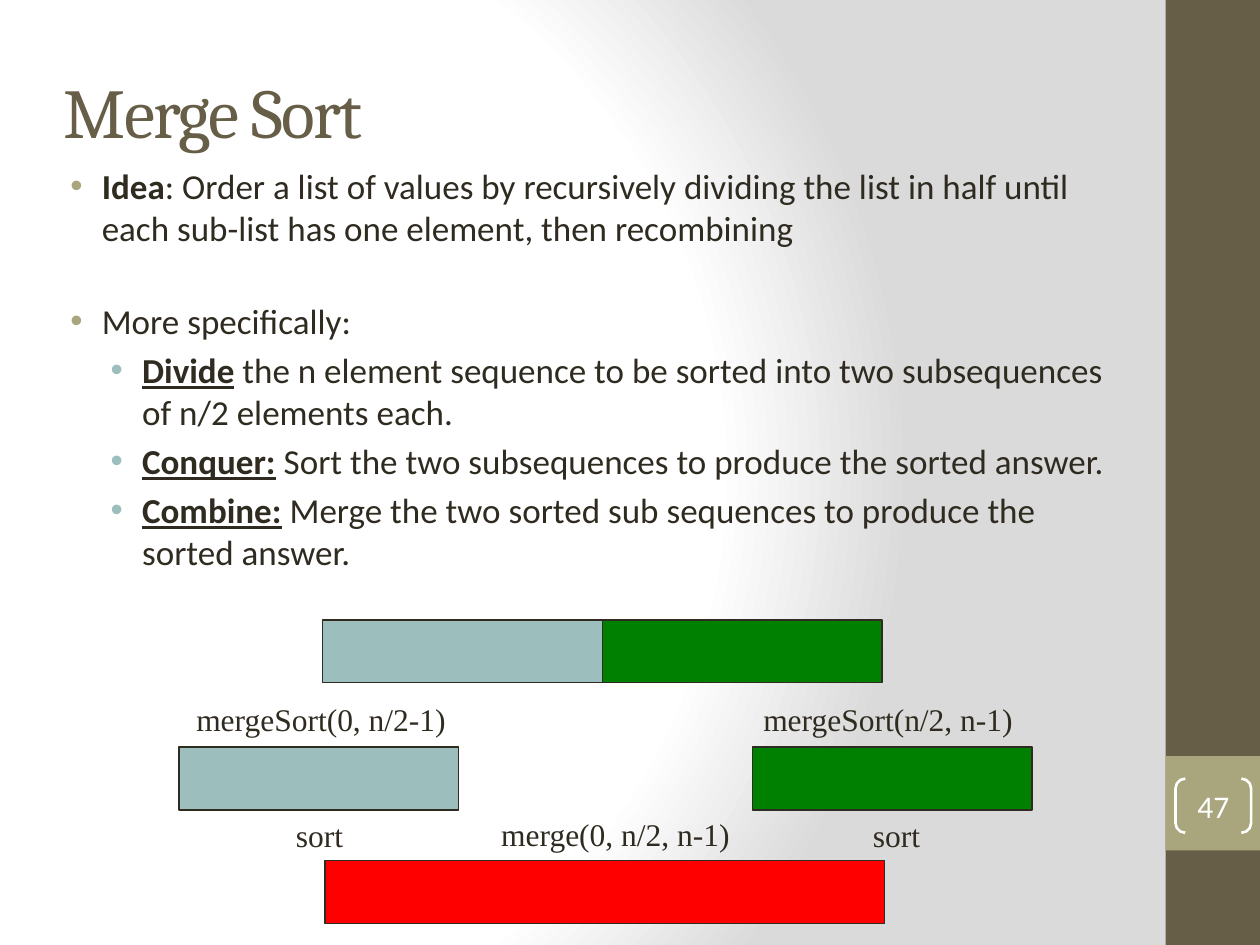
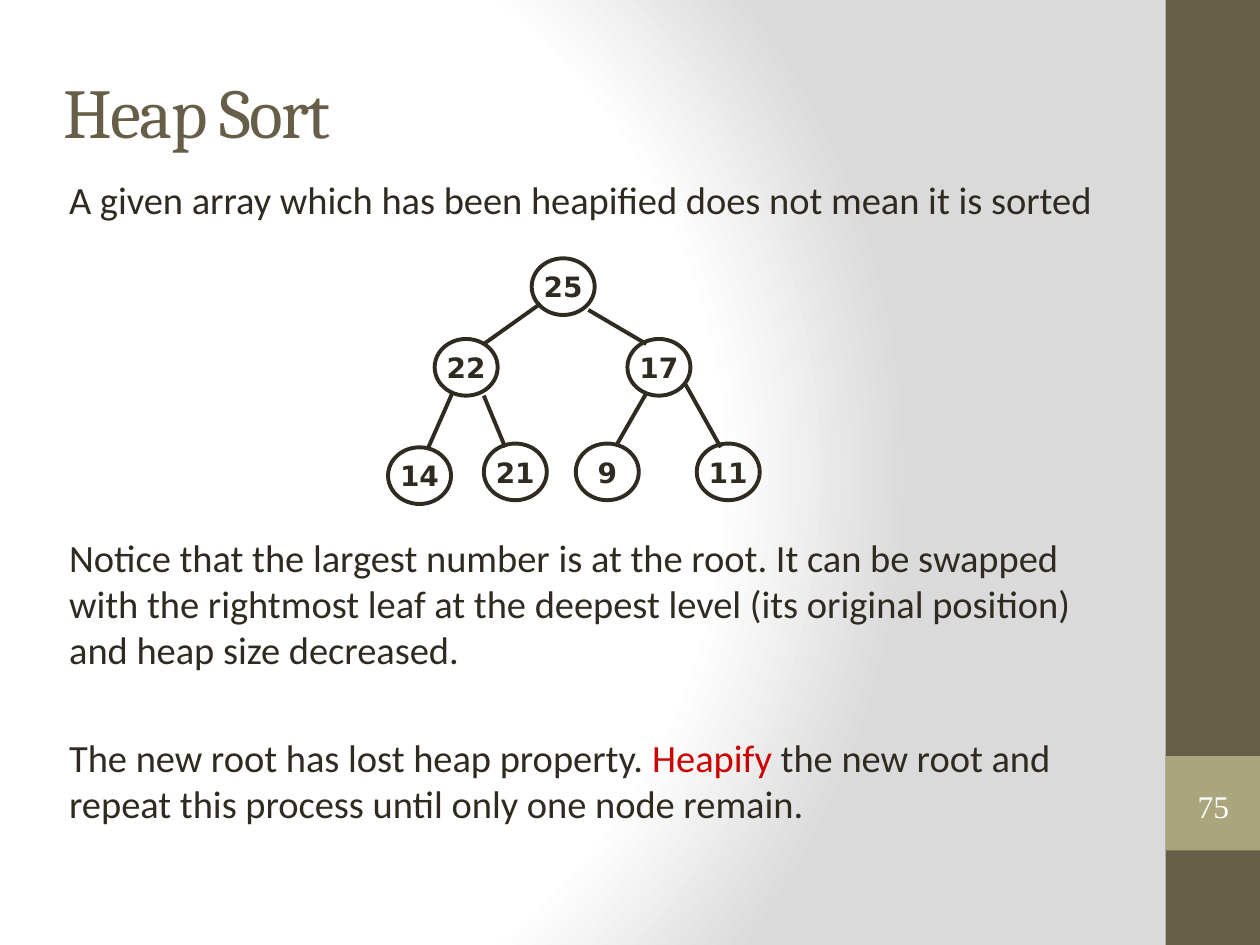
from lxml import etree
from pptx import Presentation
from pptx.dml.color import RGBColor
from pptx.enum.shapes import MSO_CONNECTOR, MSO_SHAPE
from pptx.enum.text import MSO_ANCHOR, MSO_AUTO_SIZE, PP_ALIGN
from pptx.oxml.ns import qn
from pptx.util import Inches, Pt

BROWN = RGBColor(0x67, 0x5E, 0x47)
OLIVE = RGBColor(0xA9, 0xA5, 0x7C)
TEAL = RGBColor(0x9C, 0xBE, 0xBD)
INK = RGBColor(0x2F, 0x2B, 0x20)
GREEN = RGBColor(0x00, 0x80, 0x00)
RED = RGBColor(0xFF, 0x00, 0x00)
DARK_RED = RGBColor(0xCC, 0x00, 0x00)
WHITE = RGBColor(0xFF, 0xFF, 0xFF)
GREY = RGBColor(0xDA, 0xDA, 0xDA)

HEADING, BODY, SERIF, NODE_FONT = "Cambria", "Calibri", "Times New Roman", "DejaVu Sans"
HALF_WIDTH, BAR_HEIGHT = 2.22, 0.5
NODE_WIDTH, NODE_HEIGHT = 0.5, 0.45

NODES = [
    ("25", 4.22, 2.05), ("22", 3.45, 2.69), ("17", 4.98, 2.69),
    ("14", 3.08, 3.55), ("21", 3.84, 3.52), ("9", 4.57, 3.52), ("11", 5.53, 3.52),
]
EDGES = [
    (4.29, 2.41, 3.84, 2.73), (4.67, 2.46, 5.13, 2.73),
    (3.59, 3.12, 3.4, 3.55), (3.84, 3.14, 4.01, 3.55),
    (5.13, 3.12, 4.9, 3.52), (5.44, 3.05, 5.72, 3.55),
]


def box(left, top, width, height):
    return [Inches(length) for length in (left, top, width, height)]


def style(font, name, size, color=INK, bold=False):
    font.name = name
    font.size = Pt(size)
    font.color.rgb = color
    font.bold = bold


def set_background(master):
    fill = master.background.fill
    fill.gradient()
    gradient = master.element.find(".//" + qn("p:bgPr")).find(qn("a:gradFill"))
    for child in list(gradient):
        gradient.remove(child)
    stops = etree.SubElement(gradient, qn("a:gsLst"))
    for position, color in ((0, WHITE), (75, WHITE), (100, GREY)):
        stop = etree.SubElement(stops, qn("a:gs"), pos=str(position * 1000))
        etree.SubElement(stop, qn("a:srgbClr"), val=str(color))
    circle = etree.SubElement(gradient, qn("a:path"), path="circle")
    etree.SubElement(circle, qn("a:fillToRect"), l="20000", t="50000", r="100000", b="50000")


def add_shape(shapes, kind, area, fill=None, line=None, line_width=0.75):
    shape = shapes.add_shape(kind, *box(*area))
    shape.shadow.inherit = False
    if fill is None:
        shape.fill.background()
    else:
        shape.fill.solid()
        shape.fill.fore_color.rgb = fill
    if line is None:
        shape.line.fill.background()
    else:
        shape.line.color.rgb = line
        shape.line.width = Pt(line_width)
    return shape


def center_text(shape, text, font_name, size, color, bold=False):
    text_frame = shape.text_frame
    text_frame.text = text
    text_frame.vertical_anchor = MSO_ANCHOR.MIDDLE
    paragraph = text_frame.paragraphs[0]
    paragraph.alignment = PP_ALIGN.CENTER
    style(paragraph.runs[0].font, font_name, size, color, bold)
    return text_frame


def add_title(slide, text):
    text_frame = slide.shapes.add_textbox(*box(0.41, 0.25, 8.5, 1.25)).text_frame
    text_frame.word_wrap = True
    text_frame.vertical_anchor = MSO_ANCHOR.MIDDLE
    text_frame.text = text
    font = text_frame.paragraphs[0].runs[0].font
    style(font, HEADING, 40, BROWN)
    text_frame.paragraphs[0].runs[0]._r.get_or_add_rPr().set("spc", "-100")


def add_page_number(slide, number, font_name, bracket_color):
    bracket = add_shape(slide.shapes, MSO_SHAPE.DOUBLE_BRACKET, (9.33, 6.18, 0.6, 0.43),
                        line=bracket_color, line_width=1.5)
    bracket.adjustments[0] = 0.18
    text_frame = center_text(bracket, number, font_name, 18, WHITE)
    text_frame.margin_left = text_frame.margin_right = 0
    text_frame.margin_top = text_frame.margin_bottom = 0


def add_framed_slide(presentation, title, number, number_font, bracket_color=None):
    slide = presentation.slides.add_slide(presentation.slide_layouts[6])
    add_shape(slide.shapes, MSO_SHAPE.RECTANGLE, (9.25, 0, 0.75, 7.5), BROWN)
    add_shape(slide.shapes, MSO_SHAPE.RECTANGLE, (9.25, 6, 0.75, 0.75), OLIVE)
    add_title(slide, title)
    add_page_number(slide, number, number_font, bracket_color)
    return slide


def indent(paragraph, margin, bullet_color=None):
    properties = paragraph._p.get_or_add_pPr()
    properties.set("marL", str(Inches(margin)))
    properties.set("indent", str(Inches(-0.25 if bullet_color else 0)))
    if bullet_color:
        color = etree.SubElement(properties, qn("a:buClr"))
        etree.SubElement(color, qn("a:srgbClr"), val=str(bullet_color))
        etree.SubElement(properties, qn("a:buFont"), typeface="Arial")
        etree.SubElement(properties, qn("a:buChar"), char="•")


def add_body(slide, area, size, paragraphs):
    text_frame = slide.shapes.add_textbox(*box(*area)).text_frame
    text_frame.word_wrap = True
    for index, (margin, bullet_color, space, runs) in enumerate(paragraphs):
        paragraph = text_frame.add_paragraph() if index else text_frame.paragraphs[0]
        indent(paragraph, margin, bullet_color)
        paragraph.space_before = Pt(space)
        for text, color, bold, underline in runs:
            run = paragraph.add_run()
            run.text = text
            style(run.font, BODY, size, color, bold)
            run.font.underline = underline


def plain(text, color=INK):
    return text, color, False, False


def strong(text, underline=False):
    return text, INK, True, underline


def step(name, text):
    return 0.7, TEAL, 4, [strong(name, True), plain(" " + text)]


def add_bar(slide, left, top, color, halves=1):
    add_shape(slide.shapes, MSO_SHAPE.RECTANGLE,
              (left, top, HALF_WIDTH * halves, BAR_HEIGHT), color, INK)


def add_label(slide, left, top, width, text):
    text_frame = slide.shapes.add_textbox(*box(left, top, width, 0.4)).text_frame
    text_frame.word_wrap = False
    text_frame.auto_size = MSO_AUTO_SIZE.SHAPE_TO_FIT_TEXT
    text_frame.text = text
    style(text_frame.paragraphs[0].runs[0].font, SERIF, 18)


def add_node(shapes, value, left, top):
    node = add_shape(shapes, MSO_SHAPE.OVAL, (left, top, NODE_WIDTH, NODE_HEIGHT),
                     line=INK, line_width=2.25)
    center_text(node, value, NODE_FONT, 16, INK, True).word_wrap = False


def add_edge(shapes, *ends):
    edge = shapes.add_connector(MSO_CONNECTOR.STRAIGHT, *box(*ends))
    edge.line.color.rgb = INK
    edge.line.width = Pt(2.25)
    etree.SubElement(edge._element.spPr, qn("a:effectLst"))


def build_merge_sort(presentation):
    slide = add_framed_slide(presentation, "Merge Sort", "47", BODY, WHITE)
    add_body(slide, (0.33, 1.26, 8.67, 4.17), 20, [
        (0.38, OLIVE, 0, [strong("Idea"), plain(
            ": Order a list of values by recursively dividing the list in half until "
            "each sub-list has one element, then recombining")]),
        (0.38, OLIVE, 29, [plain("More specifically:")]),
        step("Divide", "the n element sequence to be sorted into two subsequences "
                       "of n/2 elements each."),
        step("Conquer:", "Sort the two subsequences to produce the sorted answer."),
        step("Combine:", "Merge the two sorted sub sequences to produce the sorted answer."),
    ])
    add_bar(slide, 2.56, 4.92, TEAL)
    add_bar(slide, 2.56 + HALF_WIDTH, 4.92, GREEN)
    for left, color, label_left, call, sort_left in (
        (1.42, TEAL, 1.46, "mergeSort(0, n/2-1)", 2.25),
        (5.97, GREEN, 5.96, "mergeSort(n/2, n-1)", 6.83),
    ):
        add_bar(slide, left, 5.93, color)
        add_label(slide, label_left, 5.51, 2.2, call)
        add_label(slide, sort_left, 6.43, 0.58, "sort")
    add_bar(slide, 2.58, 6.83, RED, halves=2)
    add_label(slide, 3.88, 6.42, 2.03, "merge(0, n/2, n-1)")


def build_heap_sort(presentation):
    slide = add_framed_slide(presentation, "Heap Sort", "75", SERIF)
    add_body(slide, (0.33, 1.35, 8.75, 5.58), 22, [
        (0.12, None, 0, [plain(
            "A given array which has been heapified does not mean it is sorted")]),
        (0.12, None, 178, [plain(
            "Notice that the largest number is at the root. It can be swapped with the "
            "rightmost leaf at the deepest level (its original position) and heap size "
            "decreased.")]),
        (0.12, None, 35, [
            plain("The new root has lost heap property. "),
            plain("Heapify", DARK_RED),
            plain(" the new root and repeat this process until only one node remain.")]),
    ])
    heap = slide.shapes.add_group_shape()
    for node in NODES:
        add_node(heap.shapes, *node)
    for edge in EDGES:
        add_edge(heap.shapes, *edge)


def main():
    presentation = Presentation()
    presentation.slide_width = Inches(10)
    presentation.slide_height = Inches(7.5)
    set_background(presentation.slide_master)
    build_merge_sort(presentation)
    build_heap_sort(presentation)
    presentation.save("out.pptx")


if __name__ == "__main__":
    main()
